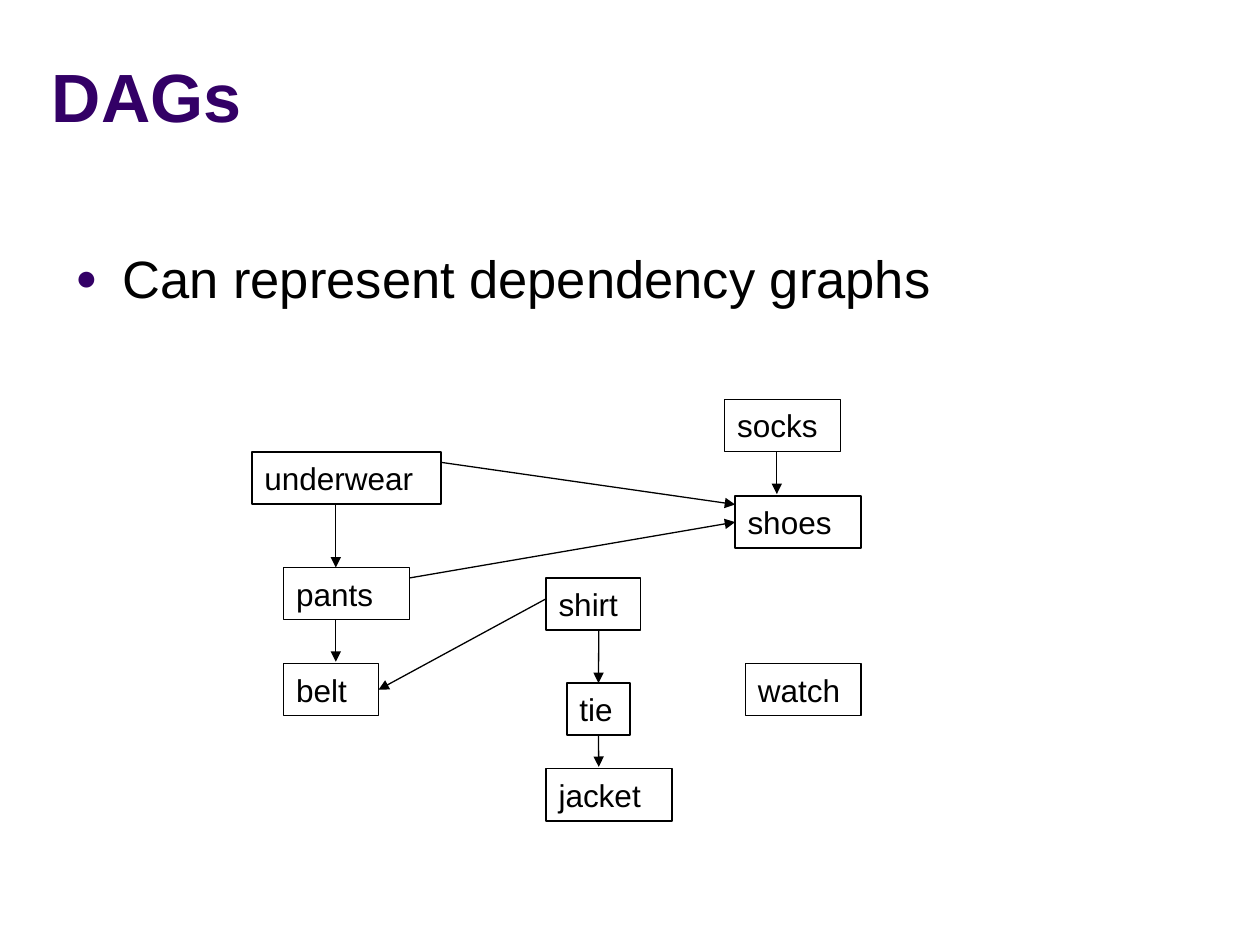
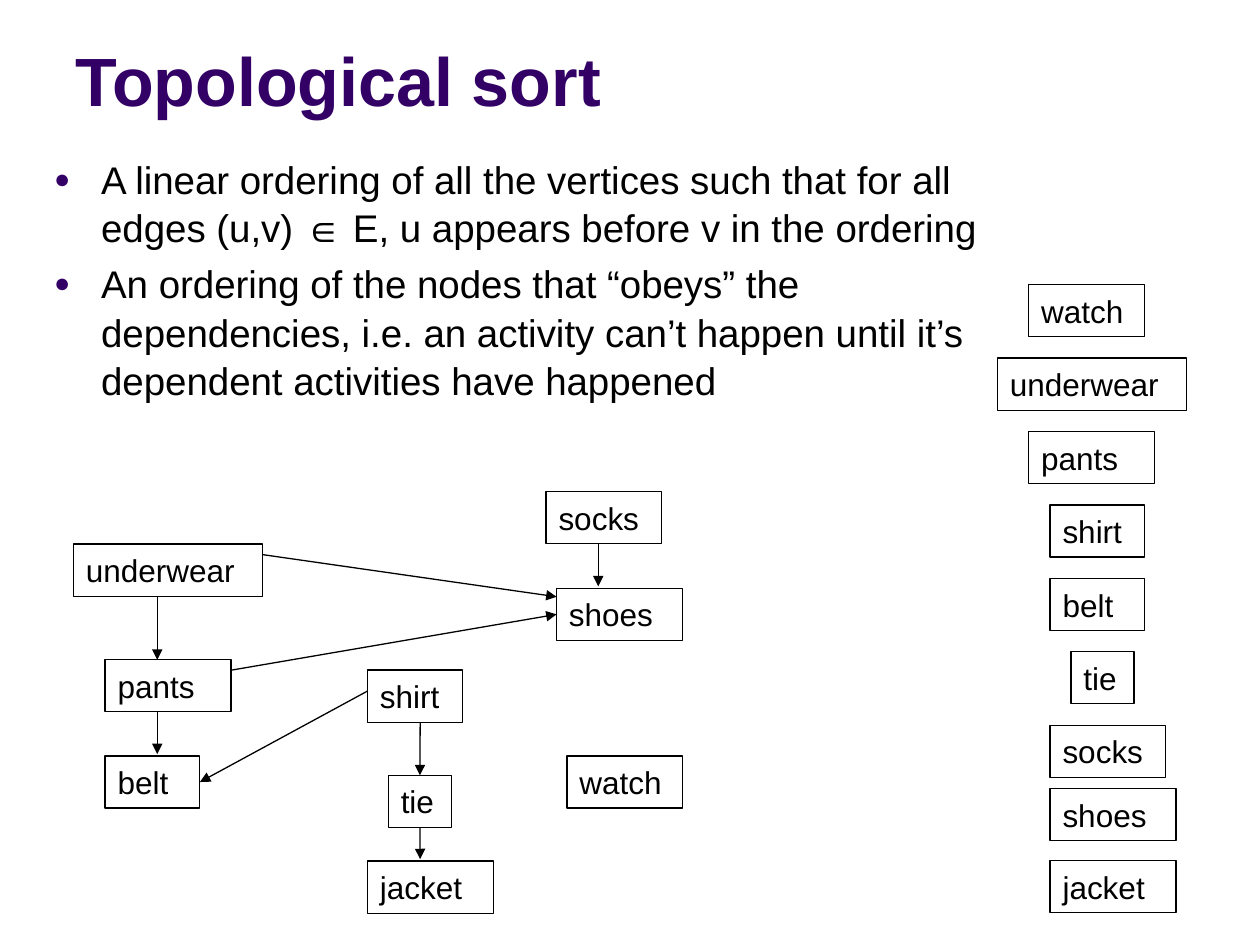
import lxml.etree
import pptx
import pptx.dml.color
import pptx.enum.shapes
import pptx.enum.text
import pptx.oxml.ns
import pptx.util

COLORS = {"title": "330066", "ink": "000000"}
FONT = "Arial"
BOX_HEIGHT = 1.05
TOP, LEFT, BOTTOM, RIGHT = range(4)

BOX_WIDTHS = {
    "underwear": 3.81, "pants": 2.54, "belt": 1.91, "shirt": 1.91, "tie": 1.27,
    "jacket": 2.54, "socks": 2.33, "shoes": 2.54, "watch": 2.33,
}
GRAPH_BOXES = {
    "underwear": (0, 1.06), "pants": (0.64, 3.39), "belt": (0.64, 5.33),
    "shirt": (5.93, 3.6), "tie": (6.35, 5.72), "jacket": (5.93, 7.45),
    "socks": (9.53, 0), "shoes": (9.74, 1.95), "watch": (9.95, 5.33),
}
GRAPH_ARROWS = [
    {"start": (1.69, 2.12), "end": (1.69, 3.39)},
    {"start": (1.69, 4.45), "end": (1.69, 5.29)},
    {"start": (3.18, 3.6), "end": (9.74, 2.54), "end_join": ("shoes", LEFT)},
    {"start": (10.58, 1.06), "end": (10.58, 1.91)},
    {"start": (3.81, 1.27), "end": (9.74, 2.12)},
    {"start": (5.93, 4.02), "end": (2.54, 5.93), "end_join": ("belt", RIGHT)},
    {"start": (6.99, 4.66), "end": (6.99, 5.72), "end_join": ("tie", TOP)},
    {"start": (6.99, 6.77), "end": (6.99, 7.41), "start_join": ("tie", BOTTOM)},
]
ORDER_TOP = 5.74
ORDER_PITCH = 1.48
SORTED_BOXES = [
    ("watch", 20.74, ORDER_PITCH), ("underwear", 20.11, ORDER_PITCH),
    ("pants", 20.74, ORDER_PITCH), ("shirt", 21.17, ORDER_PITCH),
    ("belt", 21.17, ORDER_PITCH), ("tie", 21.59, ORDER_PITCH),
    ("socks", 21.17, 1.28), ("shoes", 21.17, 1.45), ("jacket", 21.17, 0),
]
SLIDES = [
    {
        "title": "DAGs",
        "title_area": (0.79, 0.33, 23.9, 2.54),
        "bullets": ["Can represent dependency graphs"],
        "bullet_area": (1.27, 4.78, 22.86, 2.01),
        "bullet_size": 30,
        "graph_origin": (5.08, 8.05),
        "sorted": [],
    },
    {
        "title": "Topological sort",
        "title_area": (1.27, 0.33, 20.96, 2.21),
        "bullets": [
            "A linear ordering of all the vertices such that for all edges (u,v) ∈ E, "
            "u appears before v in the ordering",
            "An ordering of the nodes that “obeys” the dependencies, i.e. an activity "
            "can’t happen until it’s dependent activities have happened",
        ],
        "bullet_area": (0.84, 2.97, 20.75, 5.38),
        "bullet_size": 22,
        "graph_origin": (1.48, 9.91),
        "sorted": SORTED_BOXES,
    },
]


def color(name):
    return pptx.dml.color.RGBColor.from_string(COLORS[name])


def lengths(values):
    return [pptx.util.Cm(value) for value in values]


def add_run(paragraph, text, size, ink="ink", bold=False):
    paragraph.alignment = pptx.enum.text.PP_ALIGN.LEFT
    run = paragraph.add_run()
    run.text = text
    run.font.name = FONT
    run.font.size = pptx.util.Pt(size)
    run.font.bold = bold
    run.font.color.rgb = color(ink)


def add_xml(parent, tag, **attributes):
    return lxml.etree.SubElement(parent, pptx.oxml.ns.qn(tag), attributes)


def set_line(line):
    line.color.rgb = color("ink")
    line.width = pptx.util.Pt(0.75)


def set_title(slide, text, area):
    title = slide.shapes.title
    title.left, title.top, title.width, title.height = lengths(area)
    frame = title.text_frame
    frame.word_wrap = True
    frame.auto_size = pptx.enum.text.MSO_AUTO_SIZE.NONE
    frame.vertical_anchor = pptx.enum.text.MSO_ANCHOR.BOTTOM
    add_run(frame.paragraphs[0], text, 39, "title", True)


def add_bullets(slide, texts, area, size):
    frame = slide.shapes.add_textbox(*lengths(area)).text_frame
    frame.word_wrap = True
    for index, text in enumerate(texts):
        paragraph = frame.add_paragraph() if index else frame.paragraphs[0]
        paragraph.line_spacing = 1.05
        if index:
            paragraph.space_before = pptx.util.Pt(size * 0.2)
        properties = paragraph._p.get_or_add_pPr()
        properties.set("marL", str(pptx.util.Cm(0.95)))
        properties.set("indent", str(pptx.util.Cm(-0.95)))
        bullet_color = add_xml(properties, "a:buClr")
        add_xml(bullet_color, "a:srgbClr", val=COLORS["title"])
        add_xml(properties, "a:buSzPct", val="70000")
        add_xml(properties, "a:buFont", typeface=FONT)
        add_xml(properties, "a:buChar", char="●")
        add_run(paragraph, text, size)


def add_box(slide, name, left, top):
    shape = slide.shapes.add_shape(
        pptx.enum.shapes.MSO_SHAPE.RECTANGLE,
        *lengths((left, top, BOX_WIDTHS[name], BOX_HEIGHT)))
    shape.shadow.inherit = False
    shape.fill.background()
    set_line(shape.line)
    frame = shape.text_frame
    frame.word_wrap = True
    frame.vertical_anchor = pptx.enum.text.MSO_ANCHOR.MIDDLE
    add_run(frame.paragraphs[0], name, 18)
    return shape


def add_arrow(slide, start, end):
    connector = slide.shapes.add_connector(
        pptx.enum.shapes.MSO_CONNECTOR.STRAIGHT, *lengths(start + end))
    set_line(connector.line)
    properties = connector._element.spPr
    add_xml(properties.find(pptx.oxml.ns.qn("a:ln")), "a:tailEnd", type="triangle")
    add_xml(properties, "a:effectLst")
    return connector


def add_graph(slide, origin):
    def place(point):
        return origin[0] + point[0], origin[1] + point[1]

    boxes = {name: add_box(slide, name, *place(point))
             for name, point in GRAPH_BOXES.items()}
    for arrow in GRAPH_ARROWS:
        connector = add_arrow(slide, place(arrow["start"]), place(arrow["end"]))
        if "start_join" in arrow:
            name, side = arrow["start_join"]
            connector.begin_connect(boxes[name], side)
        if "end_join" in arrow:
            name, side = arrow["end_join"]
            connector.end_connect(boxes[name], side)


def add_sorted_column(slide, entries):
    top = ORDER_TOP
    for name, left, pitch in entries:
        add_box(slide, name, left, top)
        top += pitch


def main():
    presentation = pptx.Presentation()
    presentation.slide_width = pptx.util.Cm(25.4)
    presentation.slide_height = pptx.util.Cm(19.05)
    for content in SLIDES:
        slide = presentation.slides.add_slide(presentation.slide_layouts[5])
        set_title(slide, content["title"], content["title_area"])
        add_bullets(slide, content["bullets"], content["bullet_area"], content["bullet_size"])
        add_graph(slide, content["graph_origin"])
        add_sorted_column(slide, content["sorted"])
    presentation.save("out.pptx")


if __name__ == "__main__":
    main()
